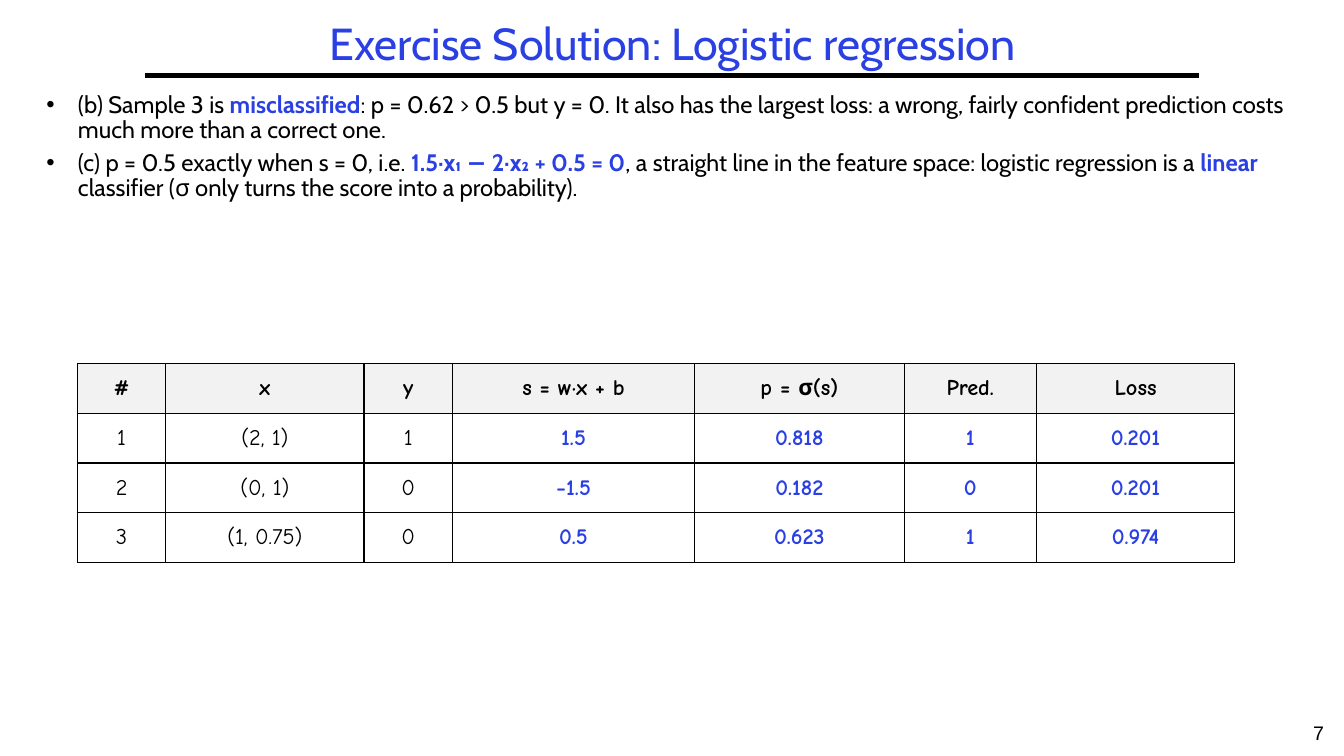
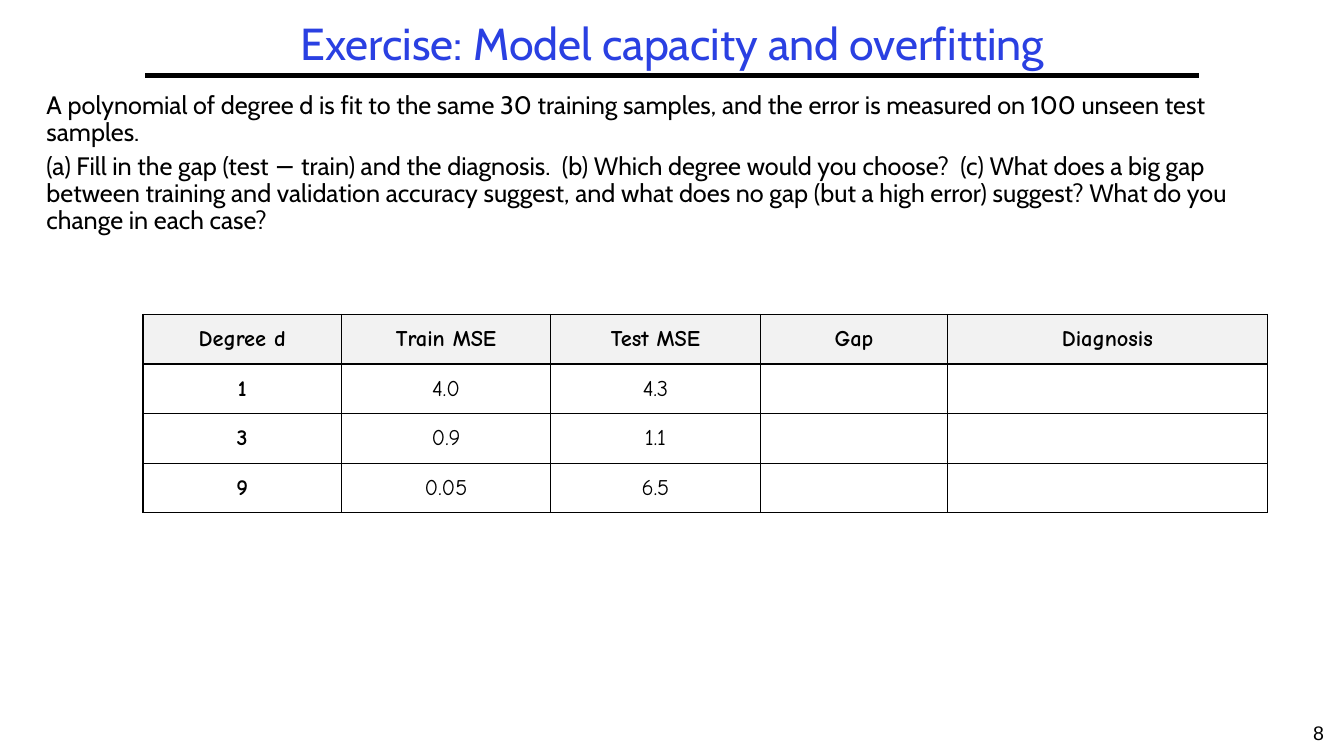
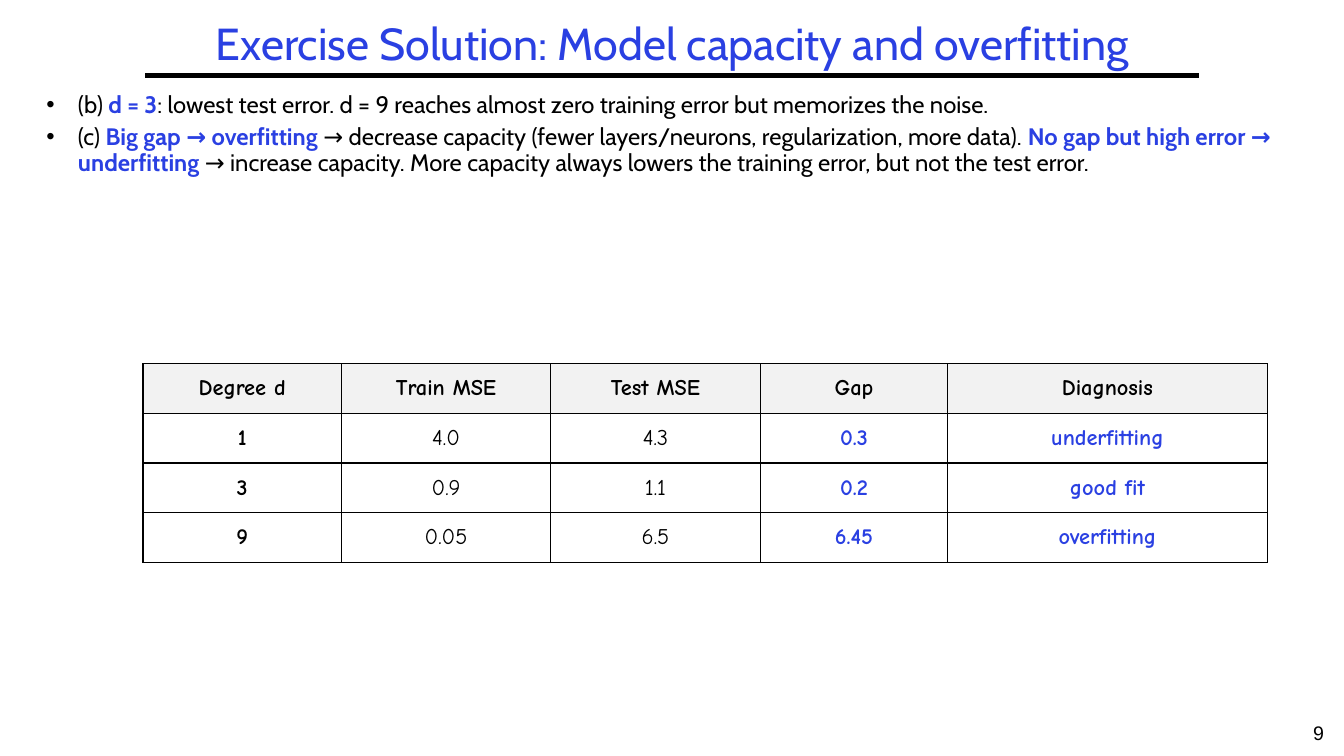
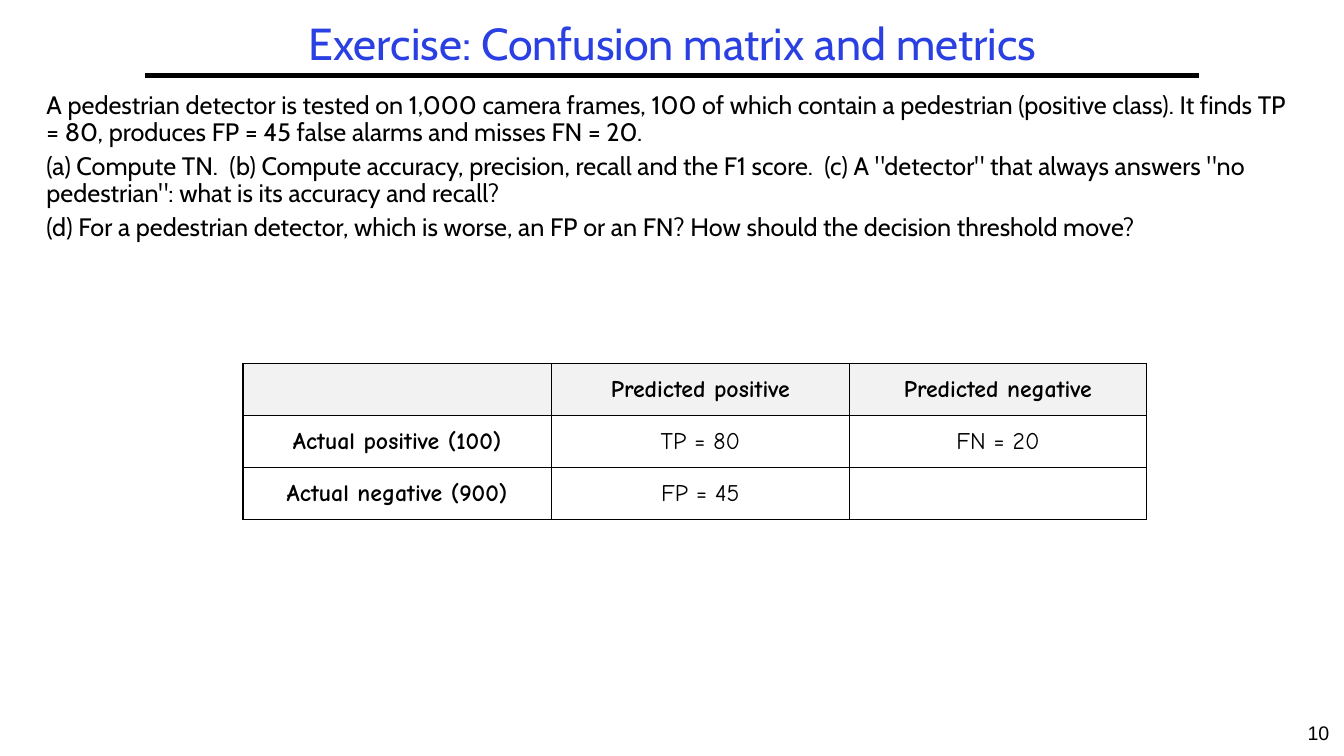
from lxml.etree import SubElement
from pptx import Presentation
from pptx.dml.color import RGBColor
from pptx.enum.shapes import MSO_CONNECTOR
from pptx.enum.text import MSO_ANCHOR as ANCHOR, MSO_AUTO_SIZE as AUTOSIZE, PP_ALIGN as ALIGN
from pptx.oxml.ns import qn
from pptx.util import Pt

BLACK = RGBColor(0x00, 0x00, 0x00)
BLUE = RGBColor(0x2A, 0x40, 0xE2)
GREY = RGBColor(0xF2, 0xF2, 0xF2)

TEXT_FONT, TABLE_FONT, NUMBER_FONT = "Cabin", "Comic Neue", "Arial"
FIRST_NUMBER = 7
INDENT = 22.5


class Deck:
    """Holds the shared style and the slide being filled."""

    def __init__(self):
        self.prs = Presentation()
        self.prs.slide_width, self.prs.slide_height = Pt(960), Pt(540)
        self.slide = None

    def run(self, p, text, size, font, color=BLACK, bold=False):
        r = p.add_run()
        r.text = text
        r.font.size, r.font.name, r.font.bold = Pt(size), font, bold
        r.font.color.rgb = color

    def place(self, sp, left, top, width, height):
        sp.left, sp.top, sp.width, sp.height = Pt(left), Pt(top), Pt(width), Pt(height)

    def new_slide(self, title):
        """Title, rule below it and slide number."""
        self.slide = self.prs.slides.add_slide(self.prs.slide_layouts[1])
        self.rule()
        self.number()
        sp = self.slide.shapes.title
        self.place(sp, 103.7, 12.2, 753.8, 41.8)
        tf = sp.text_frame
        tf.auto_size, tf.vertical_anchor = AUTOSIZE.NONE, ANCHOR.MIDDLE
        p = tf.paragraphs[0]
        p.alignment, p.line_spacing = ALIGN.CENTER, 0.9
        self.run(p, title, 32, TEXT_FONT, BLUE)

    def rule(self):
        line = self.slide.shapes.add_connector(
            MSO_CONNECTOR.STRAIGHT, Pt(103.7), Pt(54), Pt(856.1), Pt(54))
        line.line.color.rgb, line.line.width = BLACK, Pt(3)
        SubElement(line._element.spPr, qn("a:effectLst"))

    def number(self):
        sp = self.slide.shapes.add_textbox(Pt(923.8), Pt(511.2), Pt(36), Pt(28.8))
        sp.text_frame.word_wrap = True
        p = sp.text_frame.paragraphs[0]
        p.alignment = ALIGN.CENTER
        self.run(p, str(FIRST_NUMBER + len(self.prs.slides) - 1), 14, NUMBER_FONT)

    def body(self, paragraphs, height, size=18, bullets=False):
        """Body text; parts between ** marks are emphasised."""
        sp = self.slide.placeholders[1]
        self.place(sp, 26, 62.6, 905.8, height)
        tf = sp.text_frame
        tf.auto_size, tf.vertical_anchor = AUTOSIZE.NONE, ANCHOR.TOP
        for i, text in enumerate(paragraphs):
            p = tf.add_paragraph() if i else tf.paragraphs[0]
            self.bullet(p, bullets)
            p.line_spacing = 0.9
            p.space_before = Pt(4.6 if i else 0)
            for j, part in enumerate(text.split("**")):
                strong = j % 2 == 1
                self.run(p, part, size, TEXT_FONT, BLUE if strong else BLACK, strong)

    def bullet(self, p, shown):
        pPr = p._p.get_or_add_pPr()
        indent = Pt(INDENT) if shown else 0
        pPr.set("marL", str(indent))
        pPr.set("indent", str(-indent))
        if shown:
            SubElement(pPr, qn("a:buFont"), typeface="Arial")
            SubElement(pPr, qn("a:buChar"), char="•")
        else:
            SubElement(pPr, qn("a:buNone"))

    def table(self, rows, left, top, widths, row_height=35.45, size=16,
              answers_from=None, bold_first=False):
        """Table with a grey header; columns from answers_from on are blue."""
        frame = self.slide.shapes.add_table(
            len(rows), len(widths), Pt(left), Pt(top),
            Pt(sum(widths)), Pt(row_height * len(rows)))
        tbl = frame.table
        tbl.first_row = tbl.horz_banding = False
        for col, width in zip(tbl.columns, widths):
            col.width = Pt(width)
        for i, row in enumerate(rows):
            tbl.rows[i].height = Pt(row_height)
            for j, text in enumerate(row):
                header = i == 0
                answer = not header and answers_from is not None and j >= answers_from
                bold = header or answer or (bold_first and j == 0)
                self.cell(tbl.cell(i, j), text, size, header, BLUE if answer else BLACK, bold)

    def cell(self, cell, text, size, header, color, bold):
        cell.margin_left = cell.margin_right = Pt(5)
        cell.margin_top = cell.margin_bottom = Pt(2.2)
        cell.vertical_anchor = ANCHOR.MIDDLE
        self.borders(cell)
        if header:
            cell.fill.solid()
            cell.fill.fore_color.rgb = GREY
        else:
            cell.fill.background()
        if text:
            p = cell.text_frame.paragraphs[0]
            p.alignment = ALIGN.CENTER
            self.run(p, text, size, TABLE_FONT, color, bold)

    def borders(self, cell):
        tcPr = cell._tc.get_or_add_tcPr()
        for side in ("lnL", "lnR", "lnT", "lnB"):
            ln = SubElement(tcPr, qn("a:" + side), w=str(Pt(1)))
            fill = SubElement(ln, qn("a:solidFill"))
            SubElement(fill, qn("a:srgbClr"), val=str(BLACK))


def main():
    deck = Deck()

    # Logistic regression, solution
    deck.new_slide("Exercise Solution: Logistic regression")
    deck.body([
        "(b) Sample 3 is **misclassified**: p = 0.62 > 0.5 but y = 0. It also has the largest "
        "loss: a wrong, fairly confident prediction costs much more than a correct one.",
        "(c) p = 0.5 exactly when s = 0, i.e. **1.5·x₁ − 2·x₂ + 0.5 = 0**, a straight line in the "
        "feature space: logistic regression is a **linear** classifier (σ only turns the score "
        "into a probability).",
    ], 188.6, size=17, bullets=True)
    deck.table([
        ["#", "x", "y", "s = w·x + b", "p = σ(s)", "Pred.", "Loss"],
        ["1", "(2, 1)", "1", "1.5", "0.818", "1", "0.201"],
        ["2", "(0, 1)", "0", "−1.5", "0.182", "0", "0.201"],
        ["3", "(1, 0.75)", "0", "0.5", "0.623", "1", "0.974"],
    ], 55.4, 259.9, [63, 141.7, 63, 173.3, 149.5, 94.5, 141.7], answers_from=3)

    # Model capacity, exercise and solution
    capacity_header = ["Degree d", "Train MSE", "Test MSE", "Gap", "Diagnosis"]
    capacity_data = [["1", "4.0", "4.3"], ["3", "0.9", "1.1"], ["9", "0.05", "6.5"]]
    capacity_answers = [["0.3", "underfitting"], ["0.2", "good fit"], ["6.45", "overfitting"]]
    capacity_widths = [141.7, 149.6, 149.6, 133.9, 228.2]

    deck.new_slide("Exercise: Model capacity and overfitting")
    deck.body([
        "A polynomial of degree d is fit to the same 30 training samples, and the error is "
        "measured on 100 unseen test samples.",
        "(a) Fill in the gap (test − train) and the diagnosis.  (b) Which degree would you "
        "choose?  (c) What does a big gap between training and validation accuracy suggest, and "
        "what does no gap (but a high error) suggest? What do you change in each case?",
    ], 157.7)
    deck.table([capacity_header] + [data + ["", ""] for data in capacity_data],
               102.2, 224.6, capacity_widths, bold_first=True)

    deck.new_slide("Exercise Solution: Model capacity and overfitting")
    deck.body([
        "(b) **d = 3**: lowest test error. d = 9 reaches almost zero training error but "
        "memorizes the noise.",
        "(c) **Big gap → overfitting** → decrease capacity (fewer layers/neurons, "
        "regularization, more data). **No gap but high error → underfitting** → increase "
        "capacity. More capacity always lowers the training error, but not the test error.",
    ], 188.6, size=17, bullets=True)
    solved = [data + answer for data, answer in zip(capacity_data, capacity_answers)]
    deck.table([capacity_header] + solved, 102.2, 259.9, capacity_widths,
               answers_from=3, bold_first=True)

    # Confusion matrix, exercise
    deck.new_slide("Exercise: Confusion matrix and metrics")
    deck.body([
        "A pedestrian detector is tested on 1,000 camera frames, 100 of which contain a "
        "pedestrian (positive class). It finds TP = 80, produces FP = 45 false alarms and "
        "misses FN = 20.",
        "(a) Compute TN.  (b) Compute accuracy, precision, recall and the F1 score.  (c) A "
        "\"detector\" that always answers \"no pedestrian\": what is its accuracy and recall?",
        "(d) For a pedestrian detector, which is worse, an FP or an FN? How should the decision "
        "threshold move?",
    ], 196.6)
    deck.table([
        ["", "Predicted positive", "Predicted negative"],
        ["Actual positive (100)", "TP = 80", "FN = 20"],
        ["Actual negative (900)", "FP = 45", ""],
    ], 173.5, 259.9, [220.5, 212.6, 212.6], row_height=37, size=17, bold_first=True)

    deck.prs.save("out.pptx")


if __name__ == "__main__":
    main()
